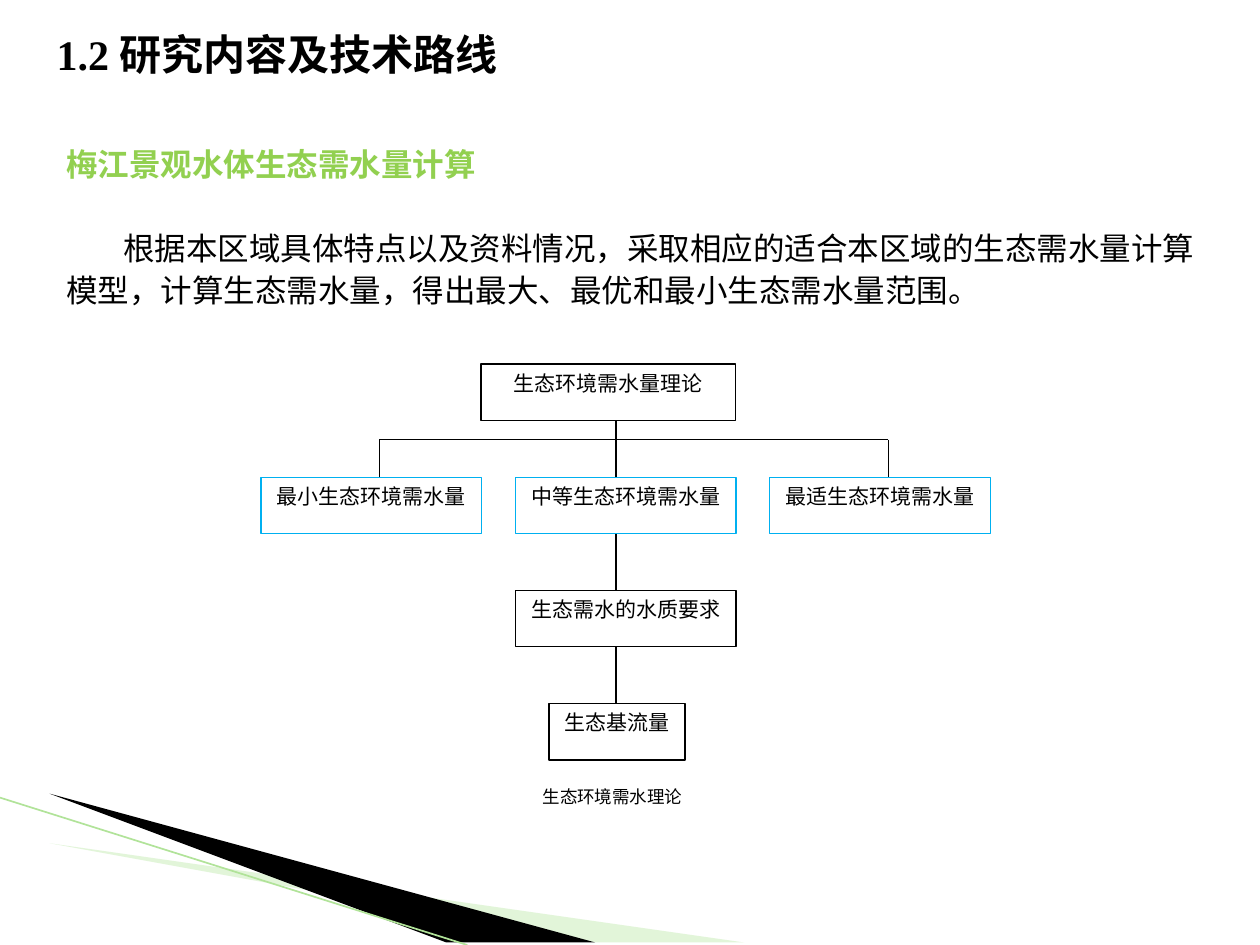
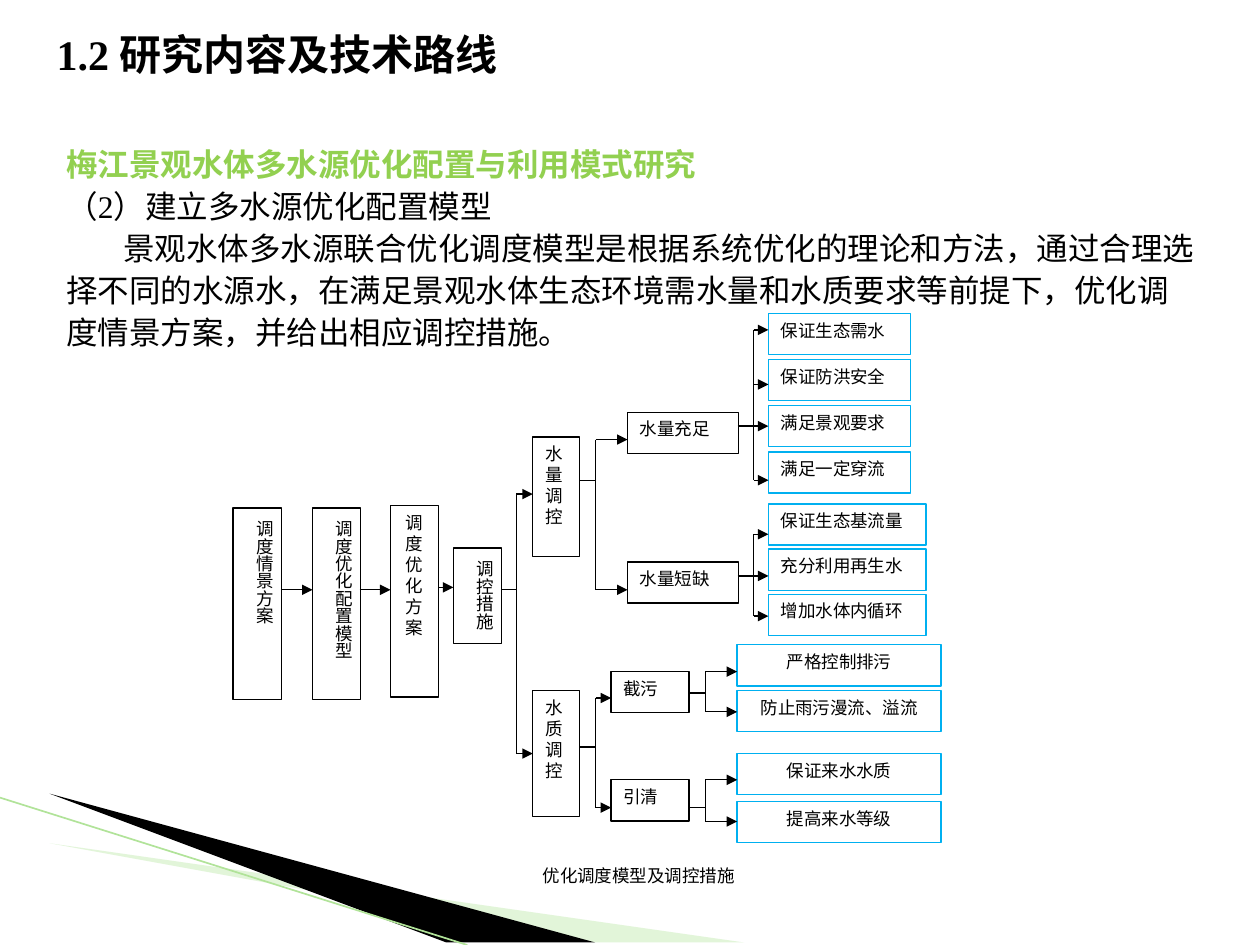
import pptx
import pptx.util
import pptx.dml.color
import pptx.enum.shapes
import pptx.enum.text
import pptx.oxml
import pptx.oxml.ns

Cm, Pt = pptx.util.Cm, pptx.util.Pt
ALIGN = pptx.enum.text.PP_ALIGN
HUES = {"ink": "000000", "paper": "FFFFFF", "head": "92D050",
        "edge": "00B0F0", "pale": "B8E7A1", "rim": "B1E399"}
SERIF, SANS = "Times New Roman", "Arial"
TITLE = "1.2 研究内容及技术路线"
TALL = 0.83  # height of the flat boxes on the second slide


def hue(name):
    return pptx.dml.color.RGBColor.from_string(HUES[name])


def add_sub(parent, tag, **attrs):
    node = pptx.oxml.parse_xml(f"<{tag} {pptx.oxml.ns.nsdecls('a')}/>")
    for key, value in attrs.items():
        node.set(key, value)
    parent.append(node)


def add_run(para, text, size, font=SERIF, color="ink", bold=False):
    run = para.add_run()
    run.text = text
    run.font.size = Pt(size)
    run.font.name = font
    run.font.bold = bold
    run.font.color.rgb = hue(color)


def add_text(slide, left, top, width, height, wrap=True):
    area = slide.shapes.add_textbox(Cm(left), Cm(top), Cm(width), Cm(height))
    area.text_frame.word_wrap = wrap
    return area.text_frame


def add_line(slide, start, end, arrow=False, color="ink", weight=0.75):
    kind = pptx.enum.shapes.MSO_CONNECTOR.STRAIGHT
    line = slide.shapes.add_connector(kind, *map(Cm, start + end))
    line.line.color.rgb = hue(color)
    line.line.width = Pt(weight)
    if arrow:
        add_sub(line.line._get_or_add_ln(), "a:tailEnd", type="triangle")
    add_sub(line._element.spPr, "a:effectLst")


def add_wedge(slide, points, color, alpha=None):
    pen = slide.shapes.build_freeform(*points[0], scale=Cm(1))
    pen.add_line_segments(points[1:], close=True)
    wedge = pen.convert_to_shape()
    wedge.shadow.inherit = False
    wedge.line.fill.background()
    wedge.fill.solid()
    wedge.fill.fore_color.rgb = hue(color)
    if alpha:
        tint = wedge._element.spPr.find(".//" + pptx.oxml.ns.qn("a:srgbClr"))
        add_sub(tint, "a:alpha", val=str(alpha * 1000))


def add_box(slide, text, left, top, width, height, size=10, edge="ink",
            align=ALIGN.LEFT, upright=False):
    """Draw a labelled box; upright sets its text in vertical columns."""
    kind = pptx.enum.shapes.MSO_SHAPE.RECTANGLE
    box = slide.shapes.add_shape(kind, *map(Cm, (left, top, width, height)))
    box.shadow.inherit = False
    box.fill.solid()
    box.fill.fore_color.rgb = hue("paper")
    box.line.color.rgb = hue(edge)
    box.line.width = Pt(0.75)
    frame = box.text_frame
    frame.word_wrap = True
    frame.vertical_anchor = pptx.enum.text.MSO_ANCHOR.TOP
    if upright:
        frame._txBody.bodyPr.set("vert", "eaVert")
    frame.paragraphs[0].alignment = align
    add_run(frame.paragraphs[0], text, size)


def add_stack(slide, labels, left, top, width, step, align=ALIGN.LEFT):
    for row, label in enumerate(labels):
        add_box(slide, label, left, top + row * step, width, TALL,
                edge="edge", align=align)


def add_fork(slide, start, trunk, tip, entry, levels):
    """Join start to a vertical trunk, then send an arrow out at each level."""
    add_line(slide, (start, entry), (trunk, entry))
    add_line(slide, (trunk, levels[0]), (trunk, levels[-1]))
    for level in levels:
        add_line(slide, (trunk, level), (tip, level), arrow=True)


def add_page(deck):
    slide = deck.slides.add_slide(deck.slide_layouts[6])
    add_wedge(slide, [(1.4, 16.52), (15.11, 19.05), (11.58, 19.05)], "pale", 40)
    add_wedge(slide, [(1.35, 16.48), (11.6, 19.05), (9.45, 19.05)], "ink")
    add_line(slide, (0, 16.08), (9.42, 19.05), color="rim", weight=0.95)
    frame = add_text(slide, 0.89, 0.53, 22.86, 1.12)
    frame.vertical_anchor = pptx.enum.text.MSO_ANCHOR.MIDDLE
    add_run(frame.paragraphs[0], TITLE, 24, bold=True)
    return slide


def add_body(slide, head, text, lead=None):
    """Write the green heading, then a lead line or a gap, then the text."""
    frame = add_text(slide, 1.09, 2.72, 23.27, 4.52)
    first = frame.paragraphs[0]
    add_run(first, head, 18, color="head", bold=True)
    if lead:
        add_run(frame.add_paragraph(), lead, 18)
    last = frame.add_paragraph()
    add_run(last, text, 18)
    last._p.get_or_add_pPr().set("indent", str(Cm(1.15)))
    for para in frame.paragraphs:
        para.line_spacing = Pt(24)
    if not lead:
        last.space_before = Pt(24)


def add_note(slide, text, top, width):
    frame = add_text(slide, 10.69, top, width, 0.69, wrap=False)
    add_run(frame.paragraphs[0], text, 10, font=SANS)


def draw_theory(slide):
    tall, wide, axis, bar = 1.14, 4.45, 12.42, 8.86
    tops = [7.34 + 2 * tall * row for row in range(4)]
    style = {"size": 12, "align": ALIGN.CENTER}
    add_box(slide, "生态环境需水量理论", 9.7, tops[0], 5.13, tall, **style)
    for col, grade in enumerate(("最小", "中等", "最适")):
        add_box(slide, grade + "生态环境需水量", 5.26 + 5.13 * col, tops[1],
                wide, tall, edge="edge", **style)
    add_box(slide, "生态需水的水质要求", 10.39, tops[2], wide, tall, **style)
    add_box(slide, "生态基流量", 11.07, tops[3], 2.74, tall, **style)

    ends = (7.65, 17.91)
    add_line(slide, (ends[0], bar), (ends[1], bar))
    for end in ends:
        add_line(slide, (end, bar), (end, tops[1]))
    for upper, lower in zip(tops, tops[1:]):
        add_line(slide, (axis, upper + tall), (axis, lower))
    add_note(slide, "生态环境需水理论", 15.72, 3.35)


def draw_model(slide):
    mid = ALIGN.CENTER
    for text, left in (("调度情景方案", 4.7), ("调度优化配置模型", 6.3)):
        add_box(slide, text, left, 10.24, 0.97, 3.86, align=mid, upright=True)
    add_box(slide, "调度优化方案", 7.87, 10.19, 0.97, 3.86, align=mid)
    add_box(slide, "调控措施", 9.14, 11.05, 0.97, 1.93, upright=True)
    for start, end, level in ((5.66, 6.3, 11.89), (7.25, 7.87, 11.89),
                              (8.84, 9.14, 11.84)):
        add_line(slide, (start, level), (end, level), arrow=True)

    add_box(slide, "水量调控", 10.74, 8.81, 0.95, 2.41)
    add_box(slide, "水质调控", 10.74, 13.92, 0.95, 2.54)
    for text, left, top, width in (
            ("水量充足", 12.65, 8.31, 2.24), ("水量短缺", 12.65, 11.33, 2.24),
            ("截污", 12.32, 13.54, 1.57), ("引清", 12.32, 15.72, 1.57)):
        add_box(slide, text, left, top, width, TALL)

    add_stack(slide, ["保证生态需水", "保证防洪安全", "满足景观要求",
                      "满足一定穿流"], 15.49, 6.32, 2.86, 0.93)
    add_stack(slide, ["保证生态基流量", "充分利用再生水", "增加水体内循环"],
              15.49, 10.16, 3.18, 0.91)
    add_stack(slide, ["严格控制排污", "防止雨污漫流、溢流"],
              14.86, 13, 4.11, 0.92, mid)
    add_stack(slide, ["保证来水水质", "提高来水等级"],
              14.86, 15.19, 4.11, 0.97, mid)

    for fork in (
            (10.11, 10.41, 10.74, 11.89, (9.96, 15.19)),
            (11.68, 12.01, 12.65, 9.68, (8.86, 11.89)),
            (11.68, 12.01, 12.32, 15.06, (14.07, 16.28)),
            (13.91, 14.22, 14.86, 13.97, (13.54, 14.35)),
            (13.91, 14.22, 14.86, 16.28, (15.72, 16.56)),
            (14.87, 15.19, 15.49, 8.59, (6.65, 7.75, 8.59, 9.68)),
            (14.87, 15.19, 15.49, 11.61, (10.77, 11.61, 12.42))):
        add_fork(slide, *fork)
    add_note(slide, "优化调度模型及调控措施", 17.32, 4.42)


def main():
    deck = pptx.Presentation()
    deck.slide_width, deck.slide_height = Cm(25.4), Cm(19.05)

    theory = add_page(deck)
    add_body(theory, "梅江景观水体生态需水量计算",
             "根据本区域具体特点以及资料情况，采取相应的适合本区域的生态需水量"
             "计算模型，计算生态需水量，得出最大、最优和最小生态需水量范围。")
    draw_theory(theory)

    model = add_page(deck)
    add_body(model, "梅江景观水体多水源优化配置与利用模式研究",
             "景观水体多水源联合优化调度模型是根据系统优化的理论和方法，通过合理"
             "选择不同的水源水，在满足景观水体生态环境需水量和水质要求等前提下，"
             "优化调度情景方案，并给出相应调控措施。",
             lead="（2）建立多水源优化配置模型")
    draw_model(model)
    deck.save("out.pptx")


if __name__ == "__main__":
    main()
